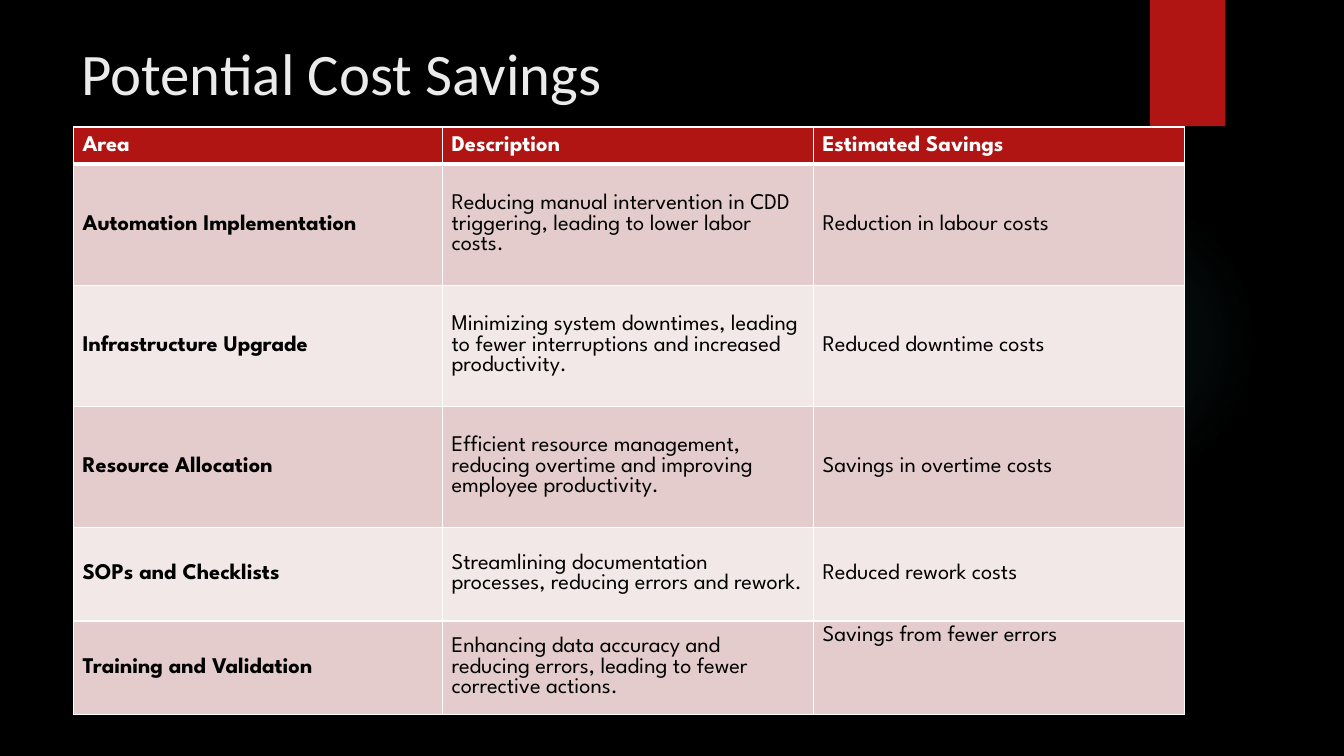
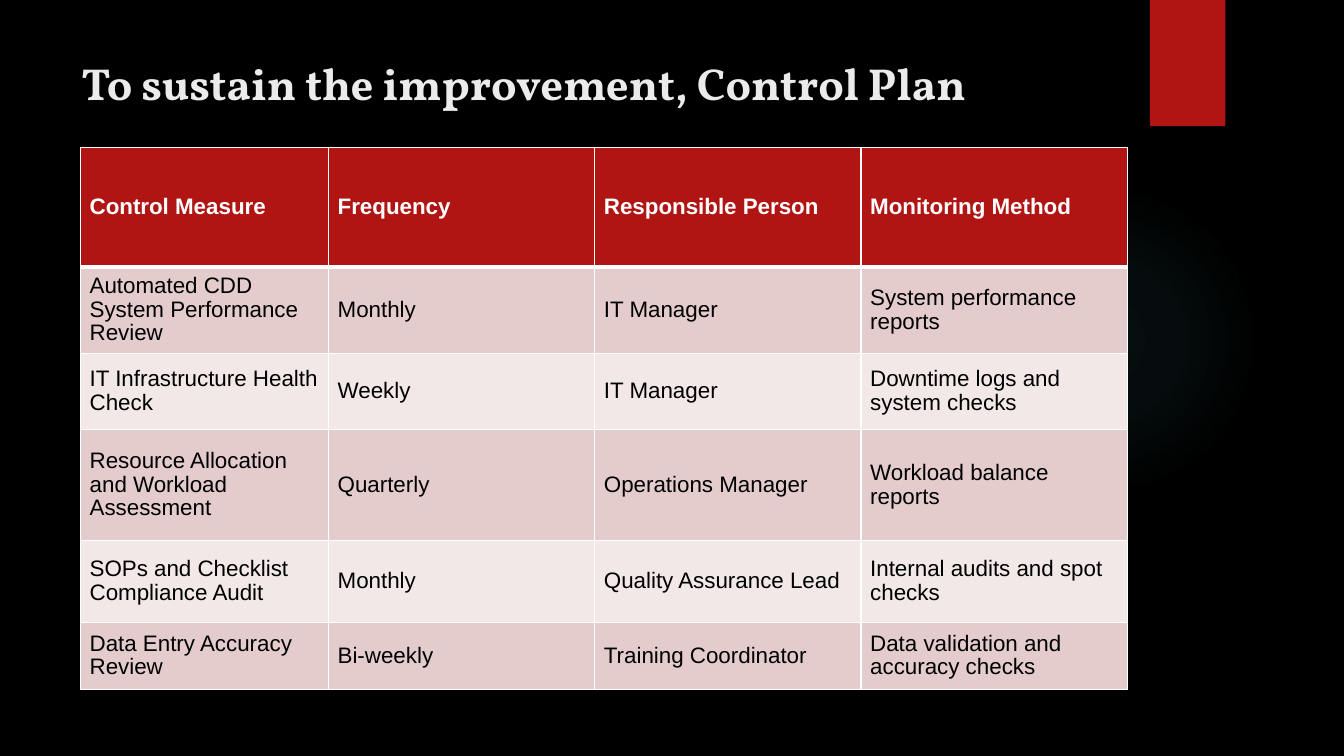
from dataclasses import dataclass

import pptx
import pptx.dml.color
import pptx.enum.shapes
import pptx.enum.text
import pptx.oxml
import pptx.oxml.ns
import pptx.util

Cm, Pt = pptx.util.Cm, pptx.util.Pt
MIDDLE = pptx.enum.text.MSO_ANCHOR.MIDDLE
TOP = pptx.enum.text.MSO_ANCHOR.TOP


@dataclass(frozen=True)
class Theme:
    background: str = "000000"
    title: str = "EBEBEB"
    accent: str = "B01513"
    glow: str = "50B9C1"
    header_text: str = "FFFFFF"
    body_text: str = "000000"
    rule: str = "FFFFFF"
    bands: tuple = ("E4CCCC", "F2E8E7")
    table_size: int = 16
    thin: int = 1
    thick: int = 3


THEME = Theme()

SLIDES = [
    {
        "title": "Potential Cost Savings",
        "title_style": {"font": "Calibri", "size": 42, "bold": False},
        "title_top": 0.79,
        "table_at": (1.85, 3.2),
        "table_font": "League Spartan",
        "line_spacing": 1.0,
        "bold_first_column": True,
        "top_cells": {(5, 2)},
        "columns": [9.3, 9.35, 9.35],
        "heights": [0.94, 3.05, 3.05, 3.05, 2.36, 2.36],
        "rows": [
            ("Area", "Description", "Estimated Savings"),
            ("Automation Implementation",
             "Reducing manual intervention in CDD triggering, leading to lower labor costs.",
             "Reduction in labour costs"),
            ("Infrastructure Upgrade",
             "Minimizing system downtimes, leading to fewer interruptions and increased productivity.",
             "Reduced downtime costs"),
            ("Resource Allocation",
             "Efficient resource management, reducing overtime and improving employee productivity.",
             "Savings in overtime costs"),
            ("SOPs and Checklists",
             "Streamlining documentation processes, reducing errors and rework.",
             "Reduced rework costs"),
            ("Training and Validation",
             "Enhancing data accuracy and reducing errors, leading to fewer corrective actions.",
             "Savings from fewer errors"),
        ],
    },
    {
        "title": "To sustain the improvement, Control Plan",
        "title_style": {"font": "Vollkorn", "size": 32, "bold": True},
        "title_top": 1.27,
        "table_at": (2.03, 3.71),
        "table_font": "Arial",
        "line_spacing": 0.95,
        "bold_first_column": False,
        "top_cells": set(),
        "columns": [6.25, 6.71, 6.71, 6.71],
        "heights": [3.02, 2.03, 1.93, 2.79, 2.06, 1.7],
        "rows": [
            ("Control Measure", "Frequency", "Responsible Person", "Monitoring Method"),
            ("Automated CDD System Performance Review", "Monthly", "IT Manager",
             "System performance reports"),
            ("IT Infrastructure Health Check", "Weekly", "IT Manager",
             "Downtime logs and system checks"),
            ("Resource Allocation and Workload Assessment", "Quarterly", "Operations Manager",
             "Workload balance reports"),
            ("SOPs and Checklist Compliance Audit", "Monthly", "Quality Assurance Lead",
             "Internal audits and spot checks"),
            ("Data Entry Accuracy Review", "Bi-weekly", "Training Coordinator",
             "Data validation and accuracy checks"),
        ],
    },
]


def rgb(value):
    return pptx.dml.color.RGBColor.from_string(value)


def style_runs(p, font, size, color, bold):
    for r in p.runs:
        r.font.name, r.font.size, r.font.bold = font, Pt(size), bold
        r.font.color.rgb = rgb(color)


def add_plain_shape(s, kind, left, top, width, height, color):
    sp = s.shapes.add_shape(kind, Cm(left), Cm(top), Cm(width), Cm(height))
    sp.shadow.inherit = False
    sp.line.fill.background()
    sp.fill.solid()
    sp.fill.fore_color.rgb = rgb(color)
    return sp


def fade_outwards(sp, color, stops):
    """Swap the solid fill for a round gradient; stops are (position %, opacity %)."""
    marks = "".join(
        f'<a:gs pos="{pos * 1000}"><a:srgbClr val="{color}">'
        f'<a:alpha val="{opacity * 1000}"/></a:srgbClr></a:gs>'
        for pos, opacity in stops)
    gradient = pptx.oxml.parse_xml(
        f'<a:gradFill {pptx.oxml.ns.nsdecls("a")}><a:gsLst>{marks}</a:gsLst>'
        '<a:path path="circle"><a:fillToRect l="50000" t="50000" r="50000" b="50000"/>'
        '</a:path></a:gradFill>')
    spPr = sp._element.spPr
    spPr.replace(spPr.find(pptx.oxml.ns.qn("a:solidFill")), gradient)


def add_base(prs):
    """Add a slide with the background, glow and corner tab."""
    s = prs.slides.add_slide(prs.slide_layouts[6])
    s.background.fill.solid()
    s.background.fill.fore_color.rgb = rgb(THEME.background)
    shapes = pptx.enum.shapes.MSO_SHAPE
    glow = add_plain_shape(s, shapes.OVAL, 23.9, 4.65, 7.82, 7.82, THEME.glow)
    fade_outwards(glow, THEME.glow, [(0, 7), (36, 6), (69, 0)])
    add_plain_shape(s, shapes.RECTANGLE, 28.98, 0, 1.9, 3.18, THEME.accent)
    return s


def add_title(s, text, top, style):
    tf = s.shapes.add_textbox(Cm(1.8), Cm(top), Cm(26.14), Cm(3.89)).text_frame
    tf.word_wrap = True
    tf.vertical_anchor = TOP
    tf.text = text
    style_runs(tf.paragraphs[0], color=THEME.title, **style)


def set_borders(cell, top, bottom):
    tcPr = cell._tc.get_or_add_tcPr()
    widths = {"lnL": THEME.thin, "lnR": THEME.thin, "lnT": top, "lnB": bottom}
    for tag, width in widths.items():
        tcPr.append(pptx.oxml.parse_xml(
            f'<a:{tag} {pptx.oxml.ns.nsdecls("a")} w="{Pt(width)}"><a:solidFill>'
            f'<a:srgbClr val="{THEME.rule}"/></a:solidFill></a:{tag}>'))


def add_table(s, spec):
    rows, columns, heights = spec["rows"], spec["columns"], spec["heights"]
    left, top = spec["table_at"]
    table = s.shapes.add_table(len(rows), len(columns), Cm(left), Cm(top),
                               Cm(sum(columns)), Cm(sum(heights))).table
    table.horz_banding = False
    for column, width in zip(table.columns, columns):
        column.width = Cm(width)
    for i, (row, height) in enumerate(zip(table.rows, heights)):
        row.height = Cm(height)
        header = i == 0
        fill = THEME.accent if header else THEME.bands[(i - 1) % 2]
        color = THEME.header_text if header else THEME.body_text
        for j, cell in enumerate(row.cells):
            set_borders(cell, THEME.thick if i == 1 else THEME.thin,
                        THEME.thick if header else THEME.thin)
            cell.fill.solid()
            cell.fill.fore_color.rgb = rgb(fill)
            cell.margin_left = cell.margin_right = Cm(0.23)
            cell.margin_top = cell.margin_bottom = Cm(0.12)
            cell.vertical_anchor = TOP if (i, j) in spec["top_cells"] else MIDDLE
            cell.text_frame.text = rows[i][j]
            p = cell.text_frame.paragraphs[0]
            p.line_spacing = spec["line_spacing"]
            bold = header or (j == 0 and spec["bold_first_column"])
            style_runs(p, spec["table_font"], THEME.table_size, color, bold)


def main():
    prs = pptx.Presentation()
    prs.slide_width, prs.slide_height = Cm(33.87), Cm(19.05)
    for spec in SLIDES:
        s = add_base(prs)
        add_title(s, spec["title"], spec["title_top"], spec["title_style"])
        add_table(s, spec)
    prs.save("out.pptx")


if __name__ == "__main__":
    main()
